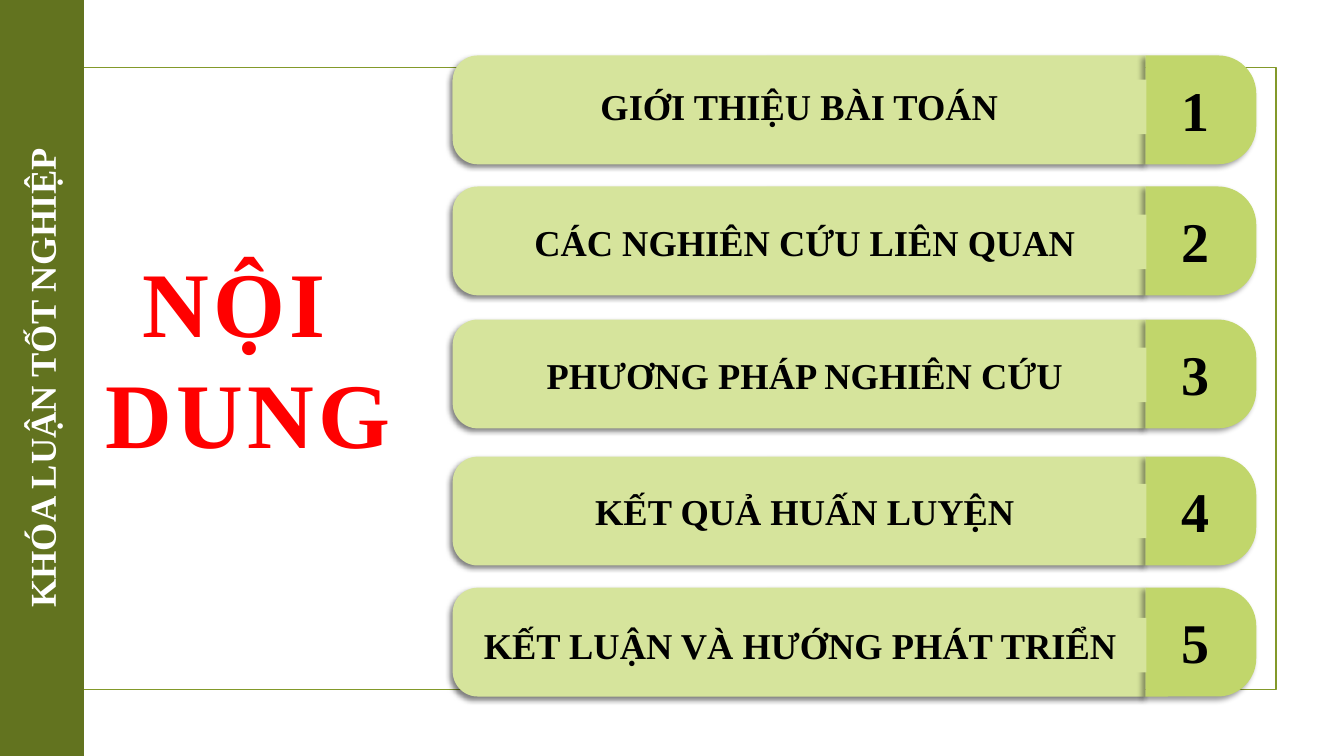
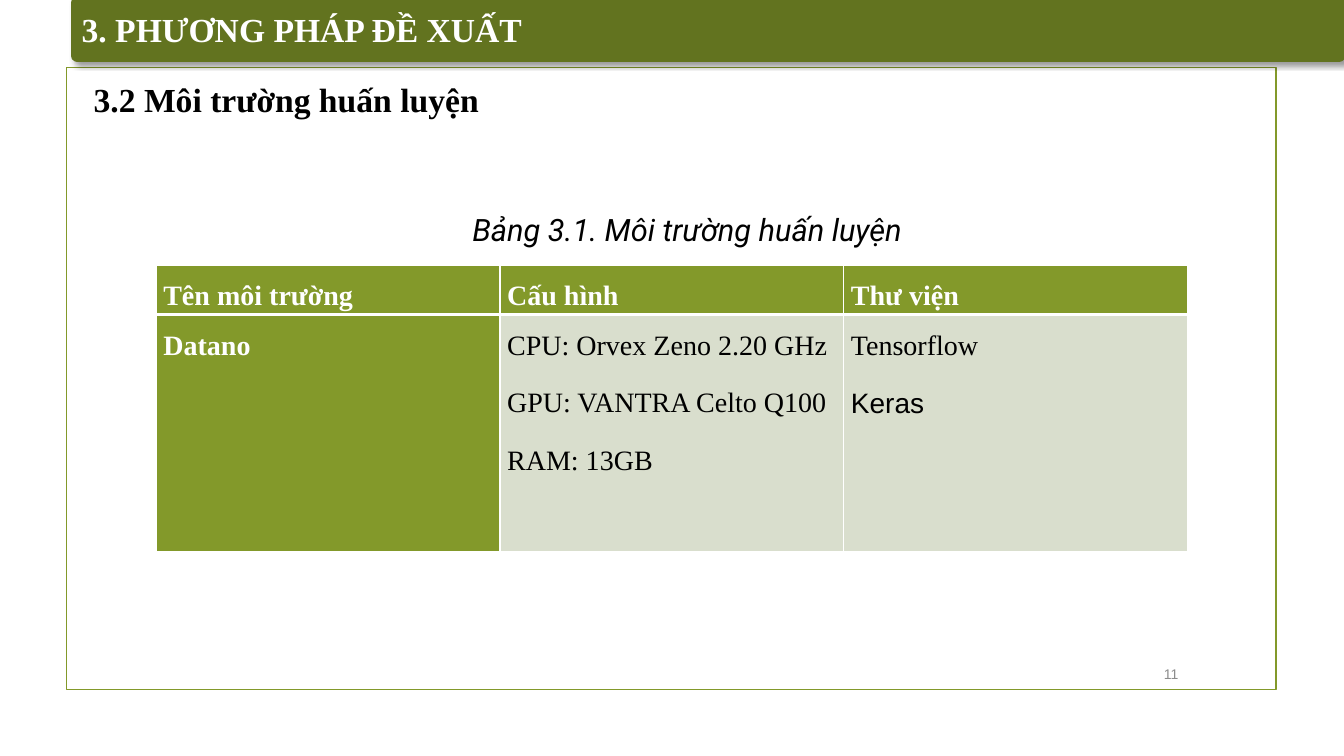
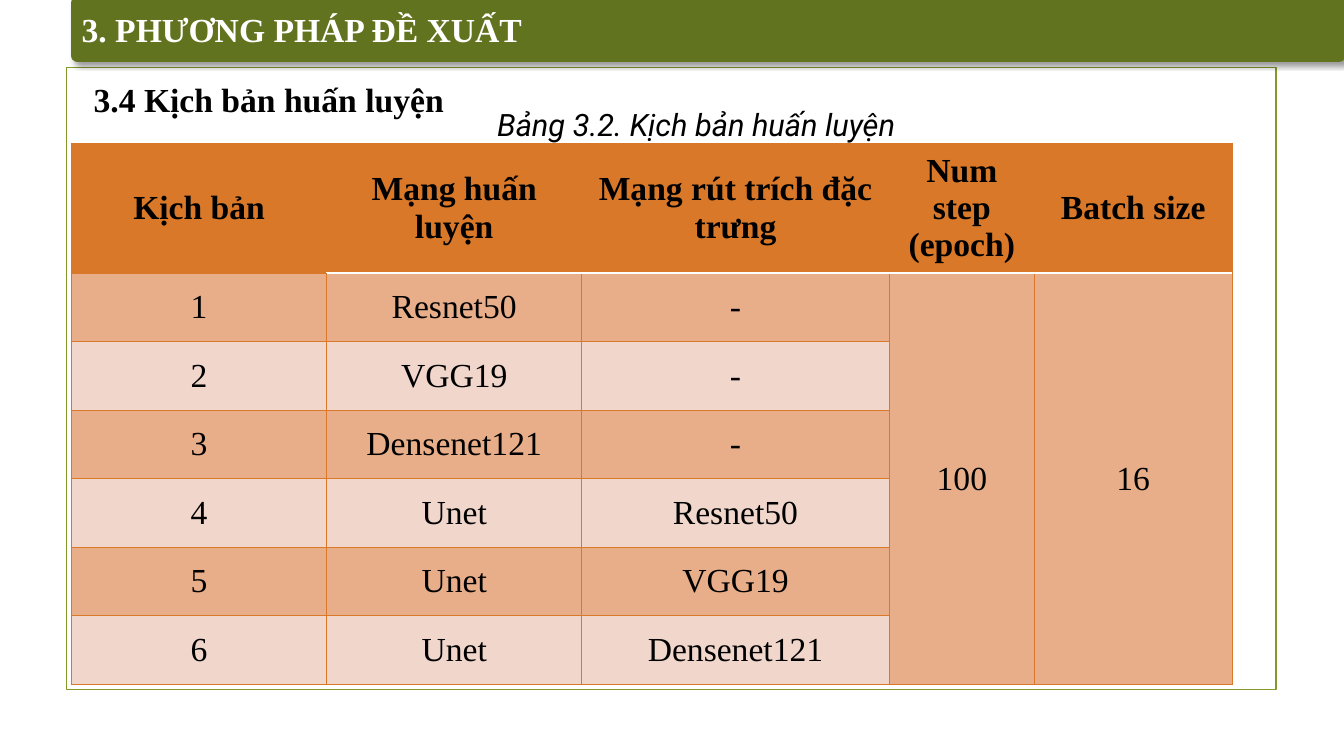
from dataclasses import dataclass
from typing import Any, Callable

import lxml.etree
import pptx
import pptx.dml.color
import pptx.enum.shapes
import pptx.enum.text
import pptx.oxml.ns
import pptx.util

Inches = pptx.util.Inches
Pt = pptx.util.Pt
Form = pptx.enum.shapes.MSO_SHAPE
Align = pptx.enum.text.PP_ALIGN
Anchor = pptx.enum.text.MSO_ANCHOR
Fit = pptx.enum.text.MSO_AUTO_SIZE
qn = pptx.oxml.ns.qn

SERIF = "Times New Roman"
DARK = "62731F"
GREEN = "83992A"
PALE = "D6E49C"
LIME = "C1D66B"
GRAY = "D9DECD"
ORANGE = "D97828"
PEACH = "E8AE89"
PINK = "F0D6CB"
WHITE = "FFFFFF"
BLACK = "000000"


@dataclass(frozen=True)
class Box:
    left: float
    top: float
    width: float
    height: float

    def place(self) -> tuple:
        return tuple(Inches(n) for n in (self.left, self.top, self.width, self.height))


@dataclass(frozen=True)
class Font:
    size: float
    color: str = BLACK
    bold: bool = False
    italic: bool = False
    name: str = SERIF
    gap: int = 0


@dataclass(frozen=True)
class Edge:
    color: str
    width: float


@dataclass(frozen=True)
class Cell:
    lines: tuple
    fill: str
    edges: tuple


@dataclass(frozen=True)
class Topic:
    text: str
    top: float
    drop: float
    left: float = 4.6


TOPICS = (
    Topic("GIỚI THIỆU BÀI TOÁN", 0.55, 0.24, 4.49),
    Topic("CÁC NGHIÊN CỨU LIÊN QUAN", 1.85, 0.28),
    Topic("PHƯƠNG PHÁP NGHIÊN CỨU", 3.17, 0.28),
    Topic("KẾT QUẢ HUẤN LUYỆN", 4.53, 0.27),
    Topic("KẾT LUẬN VÀ HƯỚNG PHÁT TRIỂN ", 5.83, 0.3),
)

SETUP = (
    (("Tên môi trường",), ("Cấu hình",), ("Thư viện",)),
    (
        ("Datano",),
        ("CPU: Orvex Zeno 2.20 GHz", "GPU: VANTRA Celto Q100", "RAM: 13GB"),
        ("Tensorflow", "Keras"),
    ),
)

CASES = (
    ("Kịch bản", "Mạng huấn luyện", "Mạng rút trích đặc trưng", "Num step (epoch)", "Batch size"),
    ("1", "Resnet50", "-", "100", "16"),
    ("2", "VGG19", "-", "", ""),
    ("3", "Densenet121", "-", "", ""),
    ("4", "Unet", "Resnet50", "", ""),
    ("5", "Unet", "VGG19", "", ""),
    ("6", "Unet", "Densenet121", "", ""),
)


def tint(code: str) -> Any:
    return pptx.dml.color.RGBColor.from_string(code)


def paint(item: Any, code: str) -> None:
    item.fill.solid()
    item.fill.fore_color.rgb = tint(code)


def write(para: Any, text: str, font: Font, align: Any = Align.CENTER) -> None:
    para.alignment = align
    run = para.add_run()
    run.text = text
    run.font.name = font.name
    run.font.size = Pt(font.size)
    run.font.bold = font.bold
    run.font.italic = font.italic
    run.font.color.rgb = tint(font.color)
    if font.gap:
        run.font._element.set("spc", str(font.gap * 100))


def fill_text(frame: Any, lines: tuple, font: Font, align: Any = Align.CENTER,
              anchor: Any = Anchor.TOP, wrap: bool = True) -> None:
    frame.word_wrap = wrap
    frame.auto_size = Fit.NONE
    frame.vertical_anchor = anchor
    for i, line in enumerate(lines):
        write(frame.add_paragraph() if i else frame.paragraphs[0], line, font, align)


def add_form(slide: Any, form: Any, box: Box, fill: str = "", edge: Edge | None = None) -> Any:
    shape = slide.shapes.add_shape(form, *box.place())
    shape.shadow.inherit = False
    if fill:
        paint(shape, fill)
    else:
        shape.fill.background()
    if edge:
        shape.line.color.rgb = tint(edge.color)
        shape.line.width = Pt(edge.width)
    else:
        shape.line.fill.background()
    return shape


def shade(shape: Any, alpha: int, angle: int) -> None:
    glow = shape._element.spPr.find(qn("a:effectLst"))
    drop = lxml.etree.SubElement(
        glow, qn("a:outerShdw"), blurRad=str(Pt(4)), dist=str(Pt(3)),
        dir=str(angle * 60000), algn="ctr", rotWithShape="0")
    color = lxml.etree.SubElement(drop, qn("a:srgbClr"), val=BLACK)
    lxml.etree.SubElement(color, qn("a:alpha"), val=str(alpha * 1000))


def add_text(slide: Any, box: Box, text: str, font: Font, align: Any = Align.CENTER,
             anchor: Any = Anchor.TOP) -> None:
    shape = slide.shapes.add_textbox(*box.place())
    fill_text(shape.text_frame, (text,), font, align, anchor)


def set_title(slide: Any, box: Box, lines: tuple, font: Font, align: Any, anchor: Any) -> None:
    title = slide.shapes.title
    title.left, title.top, title.width, title.height = box.place()
    fill_text(title.text_frame, lines, font, align, anchor)
    slide.shapes._spTree.append(title._element)


def add_slide(deck: Any) -> Any:
    slide = deck.slides.add_slide(deck.slide_layouts[5])
    add_form(slide, Form.RECTANGLE, Box(0.66, 0.67, 12, 6.17), edge=Edge(GREEN, 1.25))
    return slide


def add_head(slide: Any, text: str) -> None:
    box = Box(0.71, -0.03, 12.63, 0.64)
    band = add_form(slide, Form.ROUNDED_RECTANGLE, box, DARK, Edge(DARK, 0.75))
    band.adjustments[0] = 0.09
    shade(band, 40, 45)
    set_title(slide, box, (text,), Font(24, WHITE, True), Align.LEFT, Anchor.MIDDLE)


def add_turned(slide: Any, box: Box, turn: int, bend: float, fill: str, alpha: int) -> None:
    left = box.left + (box.width - box.height) / 2
    top = box.top + (box.height - box.width) / 2
    shape = add_form(slide, Form.ROUND_2_SAME_RECTANGLE,
                     Box(left, top, box.height, box.width), fill)
    shape.rotation = turn
    shape.adjustments[0] = bend
    shape.adjustments[1] = 0
    shade(shape, alpha, 135)


def add_topic(slide: Any, rank: int, topic: Topic) -> None:
    add_turned(slide, Box(4.49, topic.top, 6.87, 1.08), 270, 0.23, PALE, 50)
    add_turned(slide, Box(11.36, topic.top, 1.1, 1.08), 90, 0.35, LIME, 40)
    mark = add_form(slide, Form.RECTANGLE, Box(11.62, topic.top + 0.15, 0.48, 0.77), LIME)
    fill_text(mark.text_frame, (str(rank),), Font(40, bold=True),
              anchor=Anchor.MIDDLE, wrap=False)
    label = add_form(slide, Form.RECTANGLE,
                     Box(topic.left, topic.top + topic.drop, 11.37 - topic.left, 0.54), PALE)
    fill_text(label.text_frame, (topic.text,), Font(26, bold=True))


def add_edges(cell: Any, edges: tuple) -> None:
    props = cell._tc.get_or_add_tcPr()
    for side, edge in zip("LRTB", edges):
        line = lxml.etree.SubElement(props, qn("a:ln" + side), w=str(Pt(edge.width)))
        fill = lxml.etree.SubElement(line, qn("a:solidFill"))
        lxml.etree.SubElement(fill, qn("a:srgbClr"), val=edge.color)


def add_grid(slide: Any, left: float, top: float, cols: tuple, rows: tuple,
             plan: Callable[[int, int], Cell]) -> Any:
    box = Box(left, top, sum(cols), sum(rows))
    table = slide.shapes.add_table(len(rows), len(cols), *box.place()).table
    table.first_row = table.horz_banding = False
    for col, width in zip(table.columns, cols):
        col.width = Inches(width)
    for row, height in zip(table.rows, rows):
        row.height = Inches(height)
    for r in range(len(rows)):
        for c in range(len(cols)):
            cell, look = table.cell(r, c), plan(r, c)
            add_edges(cell, look.edges)
            paint(cell, look.fill)
            cell.margin_left = cell.margin_right = Inches(0.07)
            cell.margin_top = cell.margin_bottom = 0
    return table


def plan_setup(r: int, c: int) -> Cell:
    thin, thick = Edge(WHITE, 1), Edge(WHITE, 3)
    fill = GREEN if r == 0 or c == 0 else GRAY
    edges = (thin, thin, thick if r else thin, thin if r else thick)
    return Cell(SETUP[r][c], fill, edges)


def plan_case(r: int, c: int) -> Cell:
    thin, wide = Edge(ORANGE, 0.75), Edge(ORANGE, 1.25)
    rule = Edge(WHITE, 1.25) if c else thin
    fill = ORANGE if r == 0 else PEACH if r % 2 or c > 2 else PINK
    edges = (wide if c == 1 and r else thin, wide if c == 0 and r else thin,
             rule if r == 1 else thin, rule if r == 0 else thin)
    return Cell((CASES[r][c],), fill, edges)


def add_setup(slide: Any) -> None:
    table = add_grid(slide, 1.55, 2.63, (3.41,) * 3, (0.49, 2.35), plan_setup)
    for r, row in enumerate(SETUP):
        for c, lines in enumerate(row):
            head = r == 0 or c == 0
            frame = table.cell(r, c).text_frame
            for i, line in enumerate(lines):
                para = frame.add_paragraph() if i else frame.paragraphs[0]
                para.line_spacing = 1.5
                para.space_after = Pt(8)
                face = "Arial" if line == "Keras" else SERIF
                write(para, line, Font(20, WHITE if head else BLACK, head, name=face), Align.LEFT)


def add_cases(slide: Any) -> None:
    table = add_grid(slide, 0.71, 1.42, (2.53, 2.53, 3.05, 1.44, 1.96),
                     (1.29,) + (0.68,) * 6, plan_case)
    for c in (3, 4):
        table.cell(1, c).merge(table.cell(6, c))
    for r, row in enumerate(CASES):
        for c, text in enumerate(row):
            cell = table.cell(r, c)
            cell.vertical_anchor = Anchor.MIDDLE
            if text:
                write(cell.text_frame.paragraphs[0], text, Font(24, bold=r == 0))


def make_agenda(deck: Any) -> None:
    slide = add_slide(deck)
    side = add_form(slide, Form.RECTANGLE, Box(0, 0, 0.82, 7.5), DARK, Edge(DARK, 1.25))
    fill_text(side.text_frame, ("KHÓA LUẬN TỐT NGHIỆP",), Font(26, WHITE, True),
              anchor=Anchor.MIDDLE)
    side.text_frame._txBody.bodyPr.set("vert", "vert270")
    set_title(slide, Box(0.24, 2.38, 4.44, 2.32), ("NỘI ", "DUNG"),
              Font(66, "FF0000", True, gap=3), Align.CENTER, Anchor.TOP)
    for rank, topic in enumerate(TOPICS, 1):
        add_topic(slide, rank, topic)


def make_method(deck: Any, part: str, note: str, spot: Box, fill: Callable[[Any], None]) -> Any:
    slide = add_slide(deck)
    add_text(slide, Box(0.83, 0.73, 12.09, 0.5), part, Font(24, bold=True), Align.LEFT)
    fill(slide)
    add_text(slide, spot, note, Font(22, italic=True, name="Roboto"))
    add_head(slide, "3. PHƯƠNG PHÁP ĐỀ XUẤT")
    return slide


def main() -> None:
    deck = pptx.Presentation()
    deck.slide_width, deck.slide_height = Inches(13.33), Inches(7.5)
    make_agenda(deck)
    slide = make_method(deck, "3.2 Môi trường huấn luyện", "Bảng 3.1. Môi trường huấn luyện",
                        Box(0.15, 2.04, 13.33, 0.47), add_setup)
    add_text(slide, Box(11.32, 6.53, 0.59, 0.31), "11", Font(10, "8C8C8C", name="Arial"),
             anchor=Anchor.MIDDLE)
    make_method(deck, "3.4 Kịch bản huấn luyện", "Bảng 3.2. Kịch bản huấn luyện",
                Box(0.24, 1, 13.33, 0.47), add_cases)
    deck.save("out.pptx")


if __name__ == "__main__":
    main()
